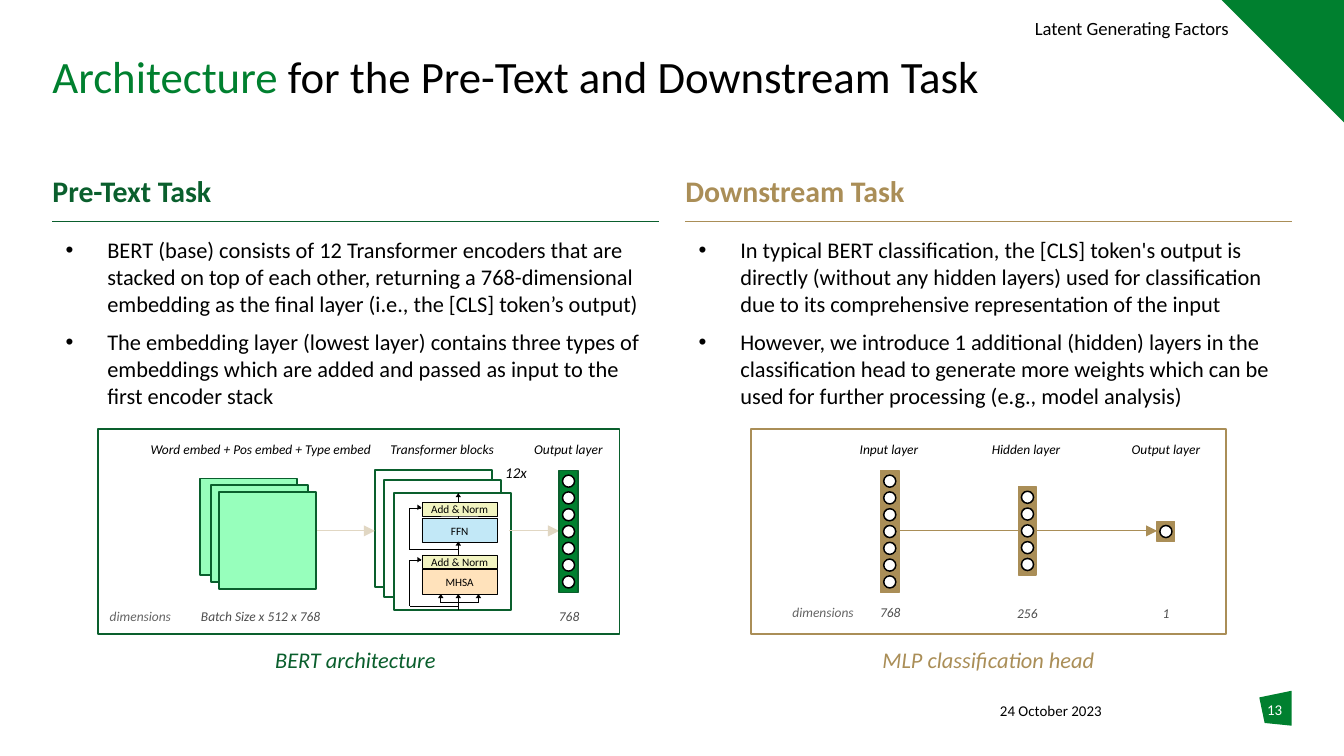
from lxml.etree import SubElement
from pptx import Presentation
from pptx.dml.color import RGBColor
from pptx.enum.shapes import MSO_CONNECTOR, MSO_SHAPE
from pptx.enum.text import MSO_ANCHOR, PP_ALIGN
from pptx.oxml.ns import qn
from pptx.util import Pt

PX = 9144
SLIDE = (1000, 562.5)
COLORS = {
    "black": "000000", "white": "FFFFFF", "green": "00802F", "forest": "0A5F2D",
    "gold": "AA8E57", "sand": "E1D7C3", "mint": "97FFBC", "gray": "4D4D4D",
    "silver": "646464", "peach": "FFE2BB", "lemon": "F2F4C1", "sky": "C2E8F7",
}
FORMATS = {
    "title": {"size": Pt(24)},
    "heading": {"size": Pt(16), "bold": True},
    "body": {"size": Pt(12)},
    "caption": {"size": Pt(12), "italic": True},
    "label": {"size": Pt(7.2), "italic": True},
    "repeat": {"size": Pt(8), "italic": True},
    "header": {"size": Pt(10)},
    "footer": {"size": Pt(8)},
    "block": {"size": Pt(6)},
}
FRAME = {"margin_left": 0, "margin_top": 0, "margin_right": 0, "margin_bottom": 0,
         "word_wrap": True}
PADDED = {"margin_left": 10 * PX, "margin_top": 5 * PX, "margin_right": 10 * PX,
          "margin_bottom": 5 * PX}
BODY = {"margin_left": 10 * PX}
MIDDLE = {"vertical_anchor": MSO_ANCHOR.MIDDLE}
ALIGN = {"left": PP_ALIGN.LEFT, "center": PP_ALIGN.CENTER, "right": PP_ALIGN.RIGHT}

TITLE = [("Architecture ", "green"), ("for the Pre-Text and Downstream Task", "black")]
TASKS = [
    {"heading": "Pre-Text Task", "left": 39, "color": "forest",
     "points": [
         "BERT (base) consists of 12 Transformer encoders that are stacked on top of each other, returning a 768-dimensional embedding as the final layer (i.e., the [CLS] token’s output)",
         "The embedding layer (lowest layer) contains three types of embeddings which are added and passed as input to the first encoder stack"],
     "panel": (73, 319, 388, 153), "caption": ("BERT architecture", 88)},
    {"heading": "Downstream Task", "left": 510, "color": "gold",
     "points": [
         "In typical BERT classification, the [CLS] token's output is directly (without any hidden layers) used for classification due to its comprehensive representation of the input",
         "However, we introduce 1 additional (hidden) layers in the classification head to generate more weights which can be used for further processing (e.g., model analysis)"],
     "panel": (559, 319, 353, 153), "caption": ("MLP classification head", 559)},
]
LABELS = [
    ("Word embed + Pos embed + Type embed", 110, 326, 168, "black"),
    ("Transformer blocks", 279, 326, 100, "black"),
    ("Output layer", 385, 326, 76, "black"),
    ("Input layer", 633, 326, 57, "black"),
    ("Hidden layer", 735, 326, 57, "black"),
    ("Output layer", 839, 326, 57, "black"),
    ("dimensions", 73, 450, 63, "silver"),
    ("Batch Size x 512 x 768", 142, 450, 104, "gray"),
    ("768", 405, 450, 37, "gray"),
    ("dimensions", 581, 447, 63, "silver"),
    ("768", 644, 447, 37, "gray"),
    ("256", 746, 448, 37, "gray"),
    ("1", 849, 448, 37, "gray"),
]
EMBEDDINGS = [(149, 356), (157, 361), (163, 366)]
ENCODERS = [(279, 350), (286, 357), (293, 367)]
BLOCKS = [
    ("MHSA", 424, 18, "peach"), ("Add & Norm", 413, 10, "lemon"),
    ("FFN", 386, 18, "sky"), ("Add & Norm", 374, 10, "lemon"),
]
SKIPS = [(451, 417), (409, 378)]
SPINE = 341
HEADS = [328, SPINE, 356]
FLOWS = [(197, 279, "sand"), (379, 416, "sand"), (669, 861, "gold")]
LAYERS = [
    (416, 350, 14, 91, 7, "green", "forest"),
    (655, 350, 14, 91, 7, "gold", "gold"),
    (758, 362, 13, 66, 5, "gold", "gold"),
    (861, 388, 13, 15, 1, "gold", "gold"),
]
NEURON, PITCH = 9, 12.5


def rgb(name):
    return RGBColor.from_string(COLORS[name])


def emu(*lengths):
    return [round(length * PX) for length in lengths]


def apply(target, values):
    for name, value in values.items():
        setattr(target, name, value)


def add_run(paragraph, text, style, color):
    run = paragraph.add_run()
    run.text = text
    apply(run.font, {"name": "Calibri", **FORMATS[style]})
    run.font.color.rgb = rgb(color)


def write(box, text, style, color, align="center", **frame):
    apply(box.text_frame, {**FRAME, **frame})
    paragraph = box.text_frame.paragraphs[0]
    paragraph.alignment = ALIGN[align]
    add_run(paragraph, text, style, color)


def add_text(area, *content, **frame):
    write(shapes.add_textbox(*emu(*area)), *content, **frame)


def paint(figure, fill, line=None, width=1):
    figure.shadow.inherit = False
    figure.fill.solid()
    figure.fill.fore_color.rgb = rgb(fill)
    if line:
        figure.line.color.rgb = rgb(line)
        figure.line.width = Pt(width)
    else:
        figure.line.fill.background()


def add_preset(preset, area, fill, line=None, width=1, parent=None, rotation=0):
    figure = (parent or shapes).add_shape(preset, *emu(*area))
    figure.rotation = rotation
    paint(figure, fill, line, width)
    return figure


def add_line(x1, y1, x2, y2, color="black", arrow=False):
    connector = shapes.add_connector(MSO_CONNECTOR.STRAIGHT, *emu(x1, y1, x2, y2))
    connector.line.color.rgb = rgb(color)
    connector.line.width = Pt(0.5)
    if arrow:
        SubElement(connector.line._get_or_add_ln(), qn("a:tailEnd"), type="triangle")
    SubElement(connector._element.spPr, qn("a:effectLst"))


def add_bullets(left, points):
    frame = shapes.add_textbox(*emu(left, 176, 451, 136)).text_frame
    apply(frame, {**FRAME, **BODY})
    for index, point in enumerate(points):
        paragraph = frame.add_paragraph() if index else frame.paragraphs[0]
        paragraph.space_after = Pt(6)
        properties = paragraph._p.get_or_add_pPr()
        properties.set("marL", str(31 * PX))
        properties.set("indent", str(-31 * PX))
        SubElement(properties, qn("a:buFont"), typeface="Arial")
        SubElement(properties, qn("a:buChar"), char="•")
        add_run(paragraph, point, "body", "black")


def add_layer(x, y, w, h, count, fill, line):
    layer = shapes.add_group_shape().shapes
    add_preset(MSO_SHAPE.RECTANGLE, (x, y, w, h), fill, line, 0.8, layer)
    top = y + (h - NEURON - PITCH * (count - 1)) / 2
    for index in range(count):
        area = (x + (w - NEURON) / 2, top + index * PITCH, NEURON, NEURON)
        add_preset(MSO_SHAPE.OVAL, area, "white", "black", 0.8, layer)


def add_head(x, y, rotation=0):
    add_preset(MSO_SHAPE.ISOSCELES_TRIANGLE, (x, y, 4, 3), "black", rotation=rotation)


deck = Presentation()
deck.slide_width, deck.slide_height = emu(*SLIDE)
shapes = deck.slides.add_slide(deck.slide_layouts[6]).shapes

add_preset(MSO_SHAPE.RIGHT_TRIANGLE, (909, 0, 91, 91), "green", rotation=180)
add_text((703, 11, 221, 20), "Latent Generating Factors", "header", "black", "right",
         **PADDED, **MIDDLE)
title = shapes.add_textbox(*emu(39, 41, 922, 67)).text_frame
apply(title, FRAME)
title.paragraphs[0].line_spacing = 0.9
for words, color in TITLE:
    add_run(title.paragraphs[0], words, "title", color)

for task in TASKS:
    left, color = task["left"], task["color"]
    add_text((left, 123, 451, 38), task["heading"], "heading", color, "left", **MIDDLE)
    add_line(left, 165, left + 451, 165, color)
    add_bullets(left, task["points"])
    add_preset(MSO_SHAPE.RECTANGLE, task["panel"], "white", color)
    caption, caption_left = task["caption"]
    add_text((caption_left, 474, 353, 34), caption, "caption", color, **PADDED, **MIDDLE)

for label, x, y, w, color in LABELS:
    add_text((x, y, w, 17), label, "label", color, **MIDDLE)

for x, y in ENCODERS:
    add_preset(MSO_SHAPE.RECTANGLE, (x, y, 87, 87), "white", "forest")
for start, end, color in FLOWS:
    add_line(start, 395, end, 395, color, True)
for x, y in EMBEDDINGS:
    add_preset(MSO_SHAPE.RECTANGLE, (x, y, 72, 72), "mint", "forest")
for layer in LAYERS:
    add_layer(*layer)
add_text((364, 343, 40, 17), "12x", "repeat", "black", **PADDED, **MIDDLE)

add_line(SPINE, 367, SPINE, 454)
for name, y, h, color in BLOCKS:
    block = add_preset(MSO_SHAPE.RECTANGLE, (314, y, 56, h), color, "black", 0.5)
    write(block, name, "block", "black", **MIDDLE)
for bottom, top in SKIPS:
    add_line(305, bottom, SPINE, bottom)
    add_line(305, top, 305, bottom)
    add_line(305, top, 313, top)
    add_head(310, top - 2, 90)
for y in (367, 403):
    add_head(SPINE - 2, y)
for x in HEADS:
    add_head(x - 2, 442)
for x in (HEADS[0], HEADS[-1]):
    add_line(x, 444, x, 449)
add_line(HEADS[0], 448, HEADS[-1], 448)

add_text((744, 522, 129, 20), "24 October 2023", "footer", "black", "left")
badge = shapes.build_freeform(*emu(937, 519), scale=1.0)
badge.add_line_segments([emu(*point) for point in ((961, 514), (961, 540), (941, 538))])
paint(badge.convert_to_shape(), "green")
add_text((937, 521, 23, 30), "13", "footer", "white")

deck.save("out.pptx")
